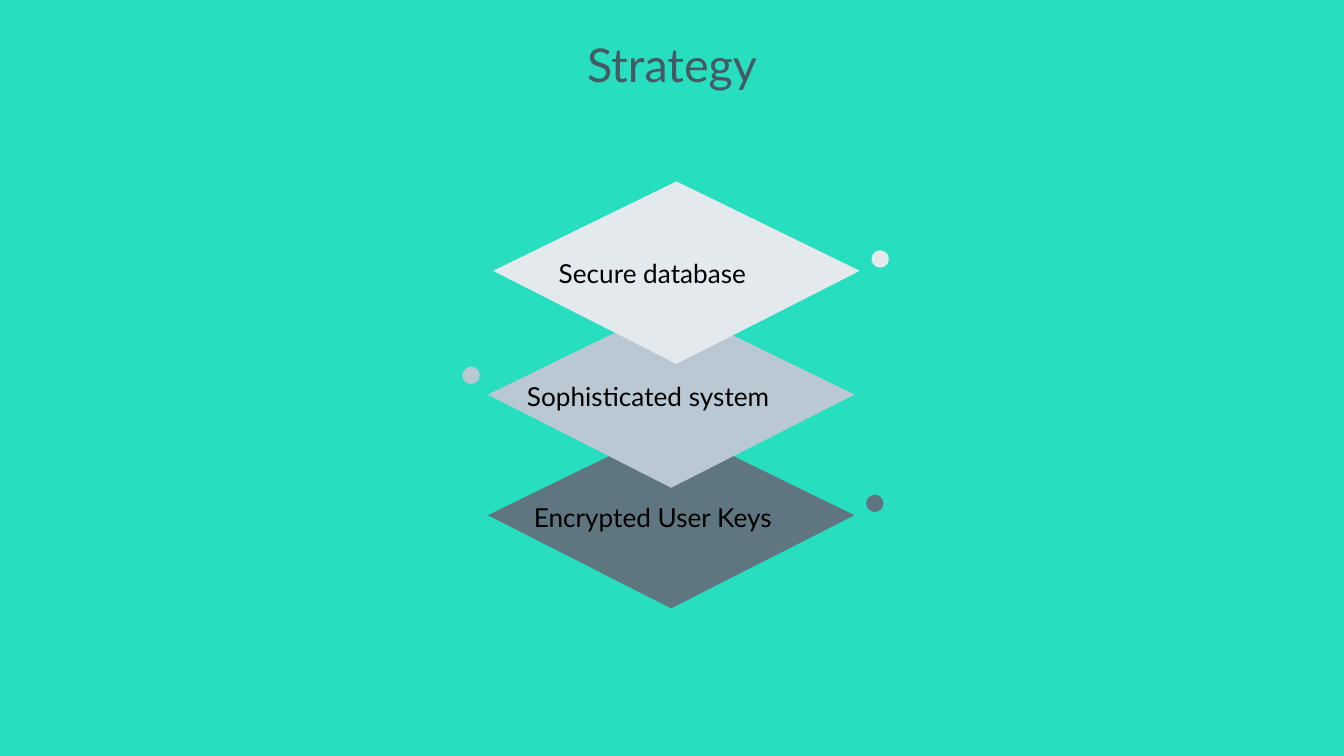
from dataclasses import dataclass

from pptx import Presentation
from pptx.dml.color import RGBColor
from pptx.enum.shapes import MSO_SHAPE
from pptx.enum.text import MSO_ANCHOR, PP_ALIGN
from pptx.util import Cm, Pt


@dataclass(frozen=True)
class Theme:
    """Colours, font and type sizes of the slide."""
    background: str = "27DEBF"
    heading: str = "455A64"
    label: str = "000000"
    keys: str = "5F7680"
    system: str = "BAC8D3"
    database: str = "E3E9ED"
    font: str = "Lato"
    heading_size: int = 25
    label_size: int = 14


THEME = Theme()
LAYER_WIDTH, LAYER_HEIGHT = 6.93, 3.45
SIDE_CORNER = 1.69
DOT_SIZE = 0.33
DOT_RIGHT, DOT_LEFT = (7.15, 1.3), (-0.48, 1.16)
INSET = 0.25


def paint(shape, colour):
    """Give a shape a flat fill without outline or shadow."""
    shape.shadow.inherit = False
    shape.fill.solid()
    shape.fill.fore_color.rgb = RGBColor.from_string(colour)
    shape.line.fill.background()


def write(shape, words, size, colour, align, anchor, indent=INSET):
    """Set and format one line of text in a shape."""
    frame = shape.text_frame
    frame.word_wrap = True
    frame.vertical_anchor = anchor
    frame.margin_left = Cm(indent)
    frame.margin_right = frame.margin_top = frame.margin_bottom = Cm(INSET)
    frame.text = words
    paragraph = frame.paragraphs[0]
    paragraph.alignment = align
    font = paragraph.runs[0].font
    font.name = THEME.font
    font.size = Pt(size)
    font.color.rgb = RGBColor.from_string(colour)


def add_heading(slide, words):
    """Add the centred slide heading."""
    heading = slide.shapes.add_textbox(Cm(1.98), Cm(0.43), Cm(21.44), Cm(2.57))
    write(heading, words, THEME.heading_size, THEME.heading,
          PP_ALIGN.CENTER, MSO_ANCHOR.TOP)


def add_layer(slide, left, top, words, indent, colour, dot_offset):
    """Add a labelled diamond layer and its dot."""
    middle = left + LAYER_WIDTH / 2
    side = top + SIDE_CORNER
    outline = slide.shapes.build_freeform(Cm(middle), Cm(top))
    outline.add_line_segments([
        (Cm(left), Cm(side)),
        (Cm(middle), Cm(top + LAYER_HEIGHT)),
        (Cm(left + LAYER_WIDTH), Cm(side)),
    ])
    layer = outline.convert_to_shape()
    paint(layer, colour)
    write(layer, words, THEME.label_size, THEME.label,
          PP_ALIGN.LEFT, MSO_ANCHOR.MIDDLE, indent)

    across, down = dot_offset
    dot = slide.shapes.add_shape(MSO_SHAPE.OVAL, Cm(left + across),
                                 Cm(top + down), Cm(DOT_SIZE), Cm(DOT_SIZE))
    paint(dot, colour)


def main():
    """Build the strategy slide."""
    deck = Presentation()
    deck.slide_width, deck.slide_height = Cm(25.4), Cm(14.29)
    slide = deck.slides.add_slide(deck.slide_layouts[6])
    slide.background.fill.solid()
    slide.background.fill.fore_color.rgb = RGBColor.from_string(THEME.background)

    add_heading(slide, "Strategy")
    layers = (
        (9.22, 8.05, "Encrypted User Keys", 0.87, THEME.keys, DOT_RIGHT),
        (9.22, 5.77, "Sophisticated system", 0.74, THEME.system, DOT_LEFT),
        (9.32, 3.43, "Secure database", 1.24, THEME.database, DOT_RIGHT),
    )
    for layer in layers:
        add_layer(slide, *layer)
    deck.save("out.pptx")


main()
